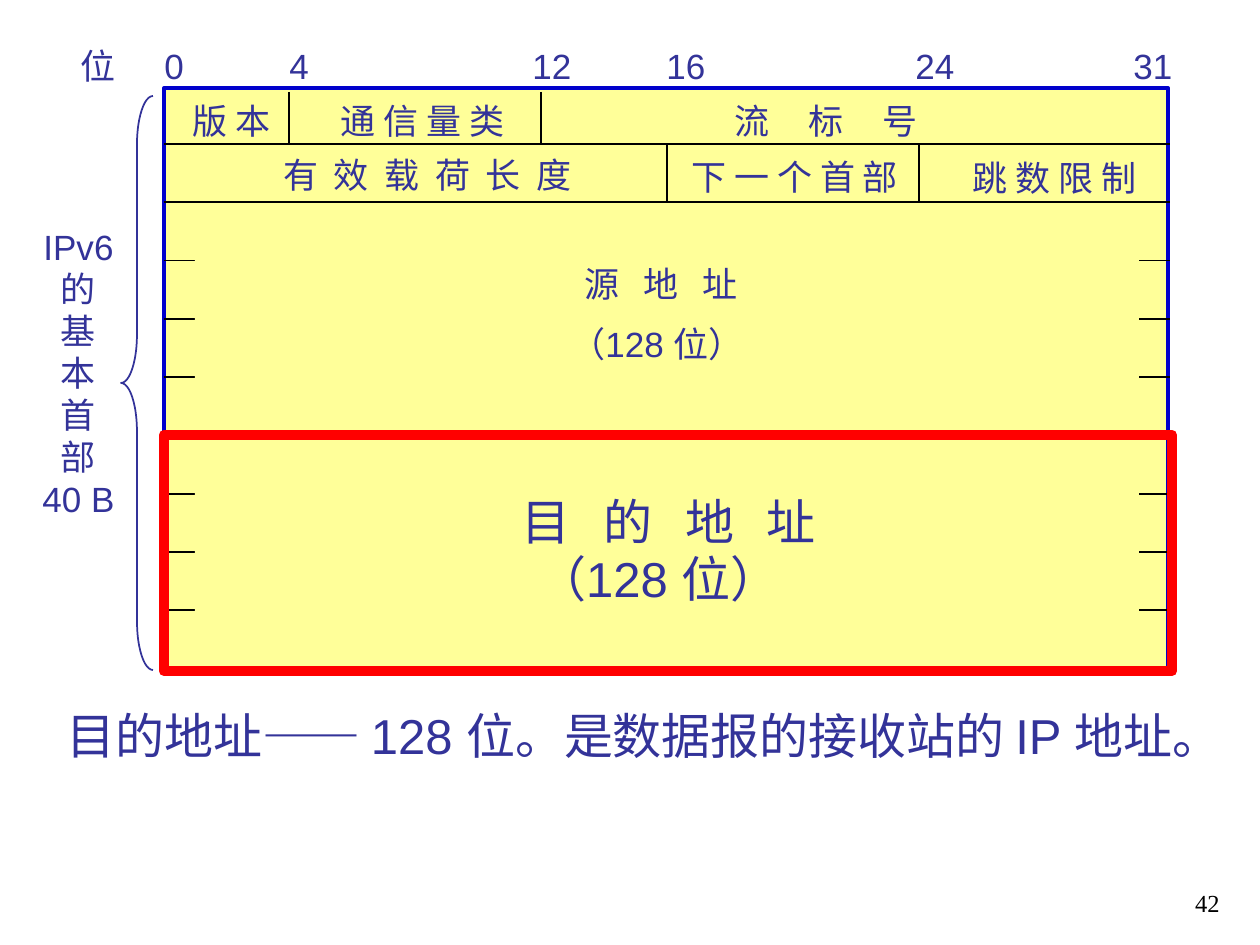
from lxml import etree
from pptx import Presentation
from pptx import util as u
from pptx.dml.color import RGBColor
from pptx.enum import shapes, text
from pptx.oxml.ns import qn

PX = u.Inches(1) / 126
INK, PAPER, BLACK = "333399", "FFFF99", "000000"
LEFT, RIGHT, TOP = 164, 1170, 88
FIRST_RULE, ROW = 144, 58.3
BIT = 31.5


def px(n):
    return u.Emu(round(n * PX))


def rgb(value):
    return RGBColor.from_string(value)


class Sketch:
    def __init__(self, slide):
        self.s = slide

    def shape(self, x, y, w, h, fill=None, line=None, weight=1,
              kind=shapes.MSO_SHAPE.RECTANGLE):
        sp = self.s.shapes.add_shape(kind, px(x), px(y), px(w), px(h))
        sp.shadow.inherit = False
        if fill:
            sp.fill.solid()
            sp.fill.fore_color.rgb = rgb(fill)
        else:
            sp.fill.background()
        if line:
            sp.line.color.rgb = rgb(line)
            sp.line.width = u.Pt(weight)
        else:
            sp.line.fill.background()
        return sp

    def rule(self, x1, y1, x2, y2):
        cn = self.s.shapes.add_connector(
            shapes.MSO_CONNECTOR.STRAIGHT, px(x1), px(y1), px(x2), px(y2))
        cn.line.color.rgb = rgb(BLACK)
        cn.line.width = u.Pt(1)
        etree.SubElement(cn._element.spPr, qn("a:effectLst"))

    def label(self, content, x, y, w, h=54, size=20, spread=0, wrap=False,
              align=None, font="Arial", color=INK, leading=None):
        """Add text; spread is the extra letter spacing in points."""
        tf = self.s.shapes.add_textbox(px(x), px(y), px(w), px(h)).text_frame
        tf.word_wrap = wrap
        tf.auto_size = text.MSO_AUTO_SIZE.SHAPE_TO_FIT_TEXT
        tf.text = content
        for p in tf.paragraphs:
            p.alignment = align
            p.line_spacing = leading
            for r in p.runs:
                r.font.size = u.Pt(size)
                r.font.name = font
                r.font.color.rgb = rgb(color)
                if spread:
                    r._r.get_or_add_rPr().set("spc", str(round(spread * 100)))
        return tf


def main():
    prs = Presentation()
    prs.slide_width, prs.slide_height = u.Inches(10), u.Inches(7.5)
    d = Sketch(prs.slides.add_slide(prs.slide_layouts[6]))

    d.shape(LEFT, TOP, 1004, 580, PAPER, "0000CC", 2.25)
    for i in range(9):
        y = FIRST_RULE + ROW * i
        d.rule(LEFT, y, RIGHT, y)

    # Masks leave only short row ticks at both edges of the address fields
    for y in (241, 475):
        d.shape(195, y, 944, 155, PAPER)

    for bit, row in ((4, 0), (12, 0), (16, 1), (24, 1)):
        x = LEFT - 1 + BIT * bit
        y = (92, FIRST_RULE)[row]
        d.rule(x, y, x, FIRST_RULE + ROW * row)

    for mark, x, w in (("位", 68, 60), ("0", 152, 44), ("4", 277, 44),
                       ("12", 520, 64), ("16", 654, 64), ("24", 903, 64),
                       ("31", 1121, 64)):
        d.label(mark, x, 38, w)

    for field, x, y, w, spread in (
            ("版 本", 180, 93, 103, 0),
            ("通 信 量 类", 328, 93, 189, 0),
            ("流 标 号", 722, 93, 209, 8.9),
            ("有 效 载 荷 长 度", 271, 147, 314, 2.2),
            ("下 一 个 首 部", 679, 149, 232, 0),
            ("跳 数 限 制", 960, 150, 189, 0),
            ("源 地 址", 572, 256, 178, 4.6),
            ("（128 位）", 558, 316, 215, 0)):
        d.label(field, x, y, w, spread=spread)
    d.label("目 的 地 址", 509, 485, 320, 71, size=28, spread=6.3)
    d.label("（128 位）", 525, 542, 291, 71, size=28)

    brace = d.shape(121, 96, 32, 574, line=INK,
                    kind=shapes.MSO_SHAPE.LEFT_BRACE)
    brace.adjustments[0] = 1.52
    d.label("IPv6\n的\n基\n本\n首\n部\n40 B", 30, 219, 97, 348,
            align=text.PP_ALIGN.CENTER)

    d.shape(LEFT, 435, 1008, 236, line="FF0000", weight=6)
    d.label("目的地址—— 128 位。是数据报的接收站的 IP 地址。",
            54, 696, 1191, 136, size=28, wrap=True, leading=1.05)
    tf = d.label("42", 970, 861, 262, 63, size=14, wrap=True,
                 align=text.PP_ALIGN.RIGHT, font="Times New Roman",
                 color=BLACK)
    tf.auto_size = text.MSO_AUTO_SIZE.NONE
    tf.vertical_anchor = text.MSO_ANCHOR.BOTTOM

    prs.save("out.pptx")


if __name__ == "__main__":
    main()
